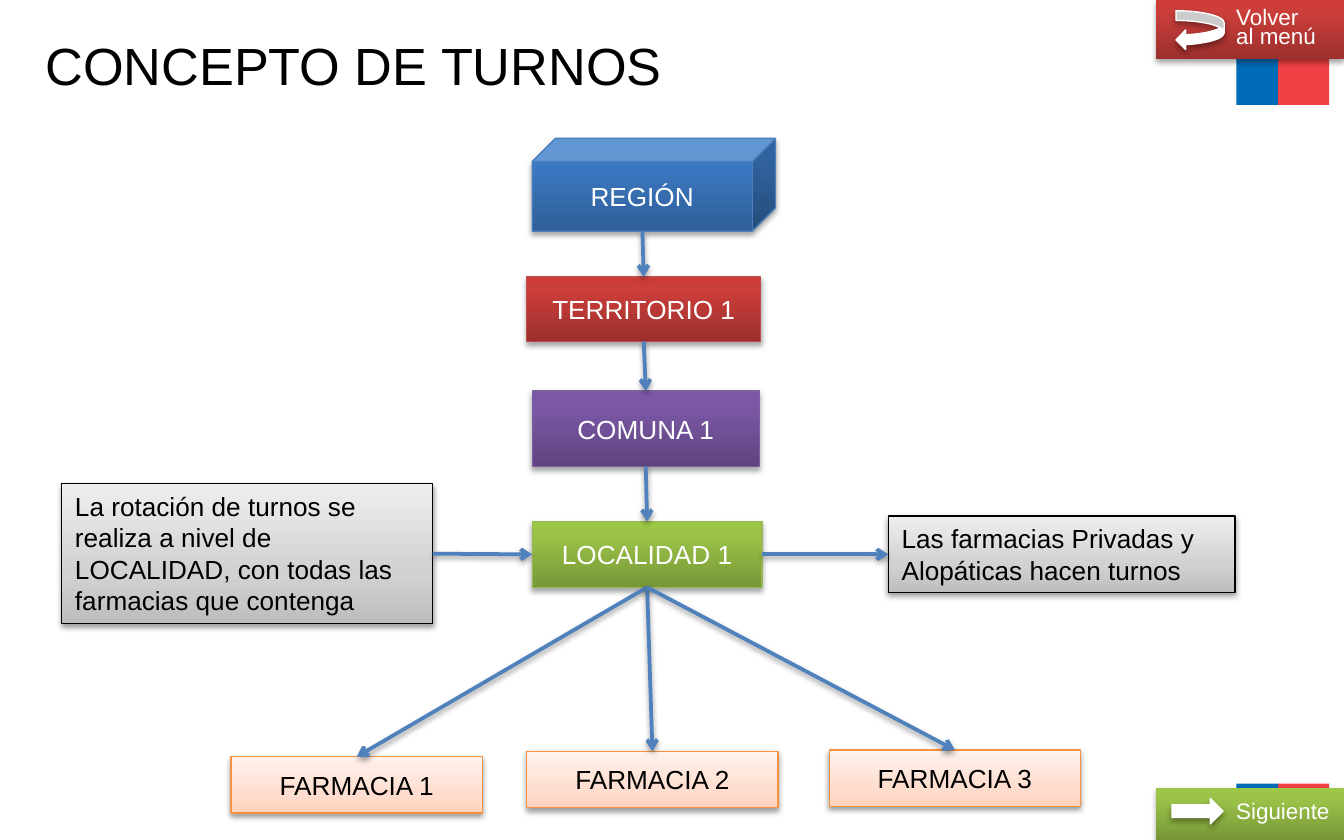
from dataclasses import dataclass

from lxml.etree import SubElement
from pptx import Presentation
from pptx.dml.color import RGBColor
from pptx.enum.shapes import MSO_CONNECTOR, MSO_SHAPE
from pptx.enum.text import MSO_ANCHOR, MSO_AUTO_SIZE, PP_ALIGN
from pptx.oxml import parse_xml
from pptx.oxml.ns import nsdecls, qn
from pptx.util import Inches, Pt

TOP, LEFT, BOTTOM, RIGHT = range(4)


@dataclass(frozen=True)
class Tone:
    stops: tuple
    line: str
    text: str = "FFFFFF"
    shade: tuple = (35, 1.8)


@dataclass(frozen=True)
class Theme:
    font: str = "Arial"
    title: int = 28
    body: int = 14
    small: int = 12
    ink: str = "000000"
    white: str = "FFFFFF"
    arrow: str = "4F81BD"
    soft: tuple = (38, 1.6)
    flag: tuple = ("006CB7", "EF4144")
    blue: Tone = Tone(((0, "2F5F99"), (80, "3D7CC7"), (100, "3A7CCB")), "4B7EBC")
    red: Tone = Tone(((0, "9C2F2D"), (80, "CB3E3A"), (100, "CE3B37")), "BF4C48")
    violet: Tone = Tone(((0, "5F4480"), (80, "7B58A6"), (100, "7C57A8")), "7D60A0")
    green: Tone = Tone(((0, "779737"), (80, "9BC348"), (100, "9DC746")), "98B955")
    peach: Tone = Tone(((0, "FFD2BD"), (35, "FFDED0"), (100, "FFF2ED")),
                       "F69240", "000000", soft)
    gray: Tone = Tone(((0, "BDBDBD"), (35, "D1D1D1"), (100, "EEEEEE")),
                      "000000", "000000", soft)


THEME = Theme()


def rgb(code):
    return RGBColor.from_string(code)


def cast(item, shade):
    """Give a shape or connector a soft shadow falling straight down."""
    alpha, dist = shade
    item._element.spPr.append(parse_xml(
        f'<a:effectLst {nsdecls("a")}><a:outerShdw blurRad="{Pt(3.1)}" '
        f'dist="{Pt(dist)}" dir="5400000" rotWithShape="0">'
        f'<a:srgbClr val="000000"><a:alpha val="{alpha * 1000}"/></a:srgbClr>'
        '</a:outerShdw></a:effectLst>'))


def blend(fill, stops):
    """Fill with the stops, running from the bottom to the top."""
    fill.gradient()
    fill.gradient_angle = 90
    group = fill.gradient_stops[0]._gs.getparent()
    for old in list(group):
        group.remove(old)
    for place, code in stops:
        stop = SubElement(group, qn("a:gs"), pos=str(place * 1000))
        SubElement(stop, qn("a:srgbClr"), val=code)


def style(frame, size, code, space=None):
    for para in frame.paragraphs:
        if space:
            para.line_spacing = space
        for run in para.runs:
            run.font.size = Pt(size)
            run.font.name = THEME.font
            run.font.color.rgb = rgb(code)


def plain(slide, kind, box, code):
    shape = slide.shapes.add_shape(kind, *map(Inches, box))
    shape.fill.solid()
    shape.fill.fore_color.rgb = rgb(code)
    return shape


def panel(slide, box, text, tone, kind=MSO_SHAPE.RECTANGLE, edge=True):
    """Draw a shaded box with centred text."""
    shape = slide.shapes.add_shape(kind, *map(Inches, box))
    blend(shape.fill, tone.stops)
    if edge:
        shape.line.color.rgb = rgb(tone.line)
        shape.line.width = Pt(0.75)
    else:
        shape.line.fill.background()
    cast(shape, tone.shade)
    frame = shape.text_frame
    frame.word_wrap = True
    frame.vertical_anchor = MSO_ANCHOR.MIDDLE
    frame.text = text
    for para in frame.paragraphs:
        para.alignment = PP_ALIGN.CENTER
    style(frame, THEME.body, tone.text)
    return shape


def note(slide, box, text):
    shape = panel(slide, box, text, THEME.gray)
    frame = shape.text_frame
    frame.vertical_anchor = MSO_ANCHOR.TOP
    frame.auto_size = MSO_AUTO_SIZE.SHAPE_TO_FIT_TEXT
    frame.paragraphs[0].alignment = PP_ALIGN.LEFT
    return shape


def button(slide, box, text, tone, kind, icon):
    shape = panel(slide, box, text, tone, edge=False)
    for para in shape.text_frame.paragraphs:
        para.alignment = PP_ALIGN.LEFT
        para.level = 1
        props = para._p.get_or_add_pPr()
        props.set("marL", str(Inches(0.5)))
        props.set("indent", "0")
    style(shape.text_frame, THEME.small, tone.text, 0.7)
    arrow = plain(slide, kind, icon, THEME.white)
    arrow.line.color.rgb = rgb(THEME.white)
    arrow.line.width = Pt(0.75)
    cast(arrow, tone.shade)


def link(slide, start, out, end, into):
    """Join two shapes with an arrow; a cube leaves from its front face."""
    line = slide.shapes.add_connector(
        MSO_CONNECTOR.STRAIGHT, Inches(4.78), Inches(1.72), end.left, end.top)
    if start.auto_shape_type != MSO_SHAPE.CUBE:
        line.begin_connect(start, out)
    line.end_connect(end, into)
    line.line.color.rgb = rgb(THEME.arrow)
    line.line.width = Pt(2)
    SubElement(line.line._get_or_add_ln(), qn("a:tailEnd"), type="arrow")
    cast(line, THEME.soft)


def flag(slide, top, height):
    for left, width, code in zip((9.2, 9.51), (0.31, 0.38), THEME.flag):
        band = plain(slide, MSO_SHAPE.RECTANGLE, (left, top, width, height), code)
        band.line.fill.background()
        band.shadow.inherit = False


def title(slide, box, text):
    frame = slide.shapes.add_textbox(*map(Inches, box)).text_frame
    frame.margin_left = frame.margin_right = 0
    frame.margin_top = frame.margin_bottom = 0
    frame.word_wrap = False
    frame.vertical_anchor = MSO_ANCHOR.MIDDLE
    frame.text = text
    frame.paragraphs[0].alignment = PP_ALIGN.LEFT
    style(frame, THEME.title, THEME.ink, 0.9)


def chart(slide):
    """Draw the tree from region to pharmacies, with its two notes."""
    chain = [
        panel(slide, (3.96, 1.03, 1.81, 0.69), "REGIÓN", THEME.blue, MSO_SHAPE.CUBE),
        panel(slide, (3.92, 2.06, 1.74, 0.48), "TERRITORIO 1", THEME.red),
        panel(slide, (3.96, 2.91, 1.69, 0.56), "COMUNA 1", THEME.violet),
        panel(slide, (3.96, 3.88, 1.71, 0.49), "LOCALIDAD 1", THEME.green),
    ]
    for upper, lower in zip(chain, chain[1:]):
        link(slide, upper, BOTTOM, lower, TOP)
    local = chain[-1]
    for num, (left, top) in enumerate(((1.72, 5.63), (3.92, 5.59), (6.17, 5.58)), 1):
        leaf = panel(slide, (left, top, 1.87, 0.42), f"FARMACIA {num}", THEME.peach)
        link(slide, local, BOTTOM, leaf, TOP)
    cause = note(slide, (0.46, 3.6, 2.76, 1.04),
                 "La rotación de turnos se realiza a nivel de LOCALIDAD, "
                 "con todas las farmacias que contenga")
    who = note(slide, (6.61, 3.84, 2.58, 0.57),
               "Las farmacias Privadas y Alopáticas hacen turnos")
    link(slide, cause, RIGHT, local, LEFT)
    link(slide, local, RIGHT, who, LEFT)


def main():
    deck = Presentation()
    deck.slide_width, deck.slide_height = Inches(10), Inches(6.25)
    slide = deck.slides.add_slide(deck.slide_layouts[6])
    flag(slide, 0, 0.78)
    flag(slide, 5.83, 0.42)
    title(slide, (0.34, 0.14, 7.83, 0.74), "CONCEPTO DE TURNOS")
    chart(slide)
    button(slide, (8.6, 0, 1.4, 0.44), "Volver\nal menú", THEME.red,
           MSO_SHAPE.CURVED_LEFT_ARROW, (8.75, 0.08, 0.36, 0.29))
    button(slide, (8.6, 5.86, 1.4, 0.39), "Siguiente", THEME.green,
           MSO_SHAPE.RIGHT_ARROW, (8.72, 5.94, 0.38, 0.19))
    deck.save("out.pptx")


if __name__ == "__main__":
    main()
